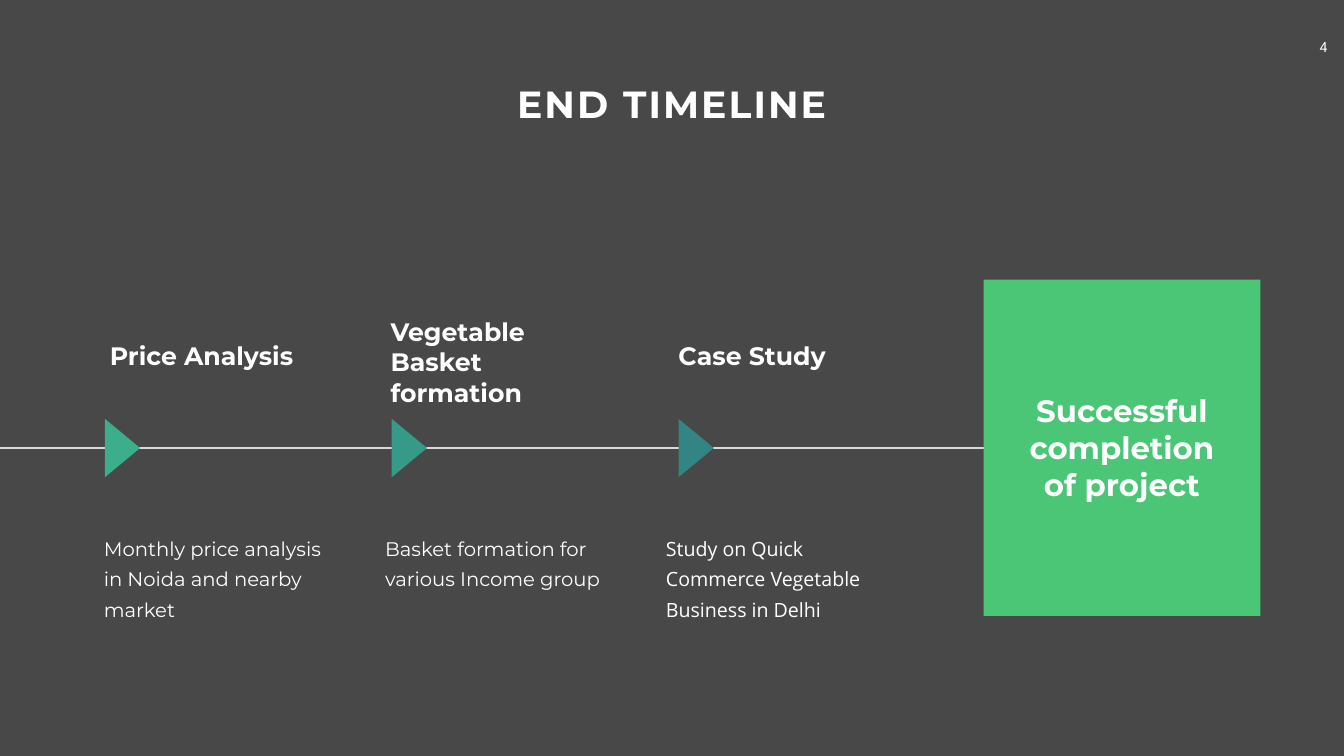
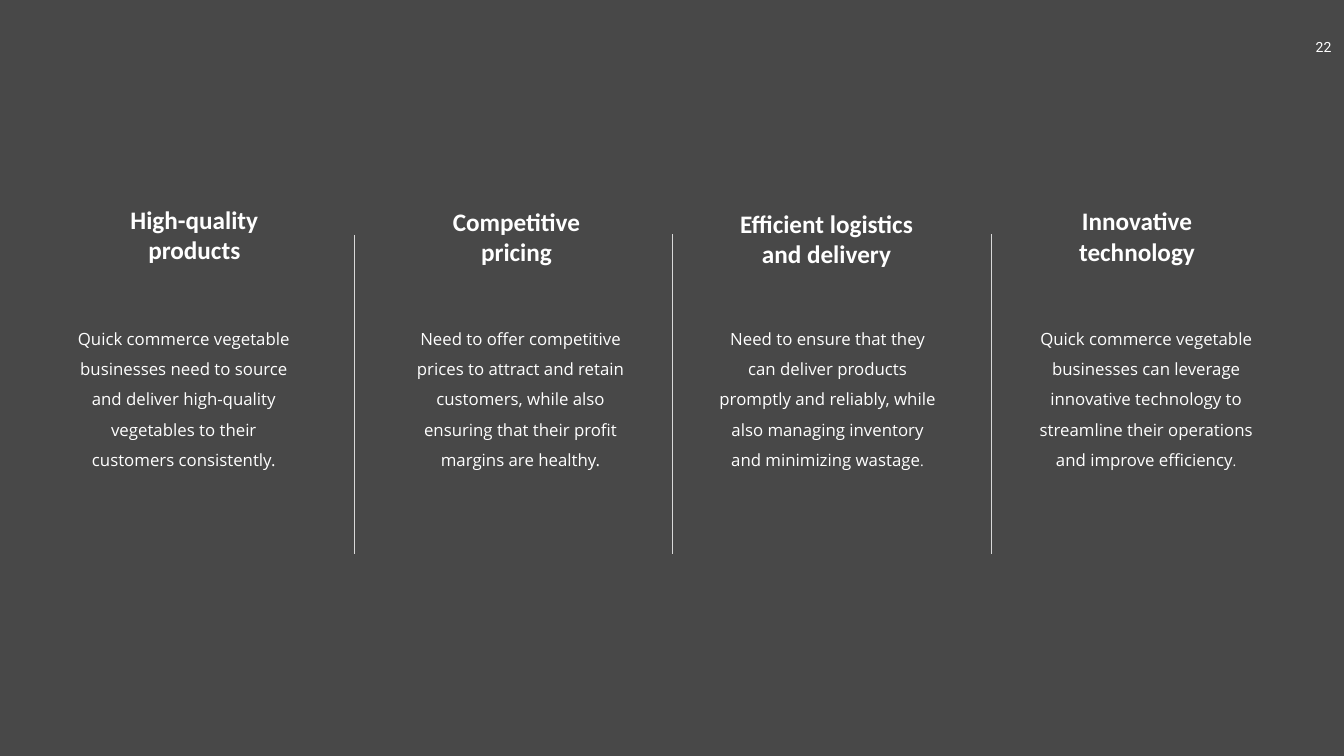
from typing import NamedTuple

from lxml.etree import SubElement
from pptx import Presentation
from pptx.dml.color import RGBColor
from pptx.enum.shapes import MSO_CONNECTOR, MSO_SHAPE
from pptx.enum.text import MSO_AUTO_SIZE, PP_ALIGN
from pptx.oxml.ns import qn
from pptx.presentation import Presentation as Deck
from pptx.shapes.autoshape import Shape
from pptx.shapes.connector import Connector
from pptx.slide import Slide
from pptx.text.text import _Paragraph as Paragraph
from pptx.util import Inches, Pt

BACKGROUND = "484848"
WHITE = "FFFFFF"
RULE = "D9D9D9"
GREEN = "4BC676"

TIGHT = (0.1, 0.05, 0.1, 0.05)
ROOMY = (0.24, 0.12, 0.24, 0.12)
PAGE_INSETS = (0.2, 0.1, 0.36, 0.1)


class Box(NamedTuple):
    left: float
    top: float
    width: float
    height: float


class Style(NamedTuple):
    font: str
    size: float
    bold: bool = False
    align: PP_ALIGN = PP_ALIGN.LEFT
    insets: tuple[float, float, float, float] = TIGHT
    line_points: float | None = None
    wrap: bool = True


class Milestone(NamedTuple):
    heading: str
    heading_box: Box
    detail: str
    detail_box: Box
    detail_font: str
    color: str


class Factor(NamedTuple):
    heading: str
    heading_box: Box
    detail: str
    detail_left: float
    small_ending: str = ""


PAGE_NUMBER = Style("Roboto", 20, align=PP_ALIGN.CENTER, insets=PAGE_INSETS, wrap=False)
TITLE = Style("Montserrat", 54, True, PP_ALIGN.CENTER)
GOAL = TITLE._replace(size=44)
MILESTONE_HEADING = Style("Montserrat", 36, True)
MILESTONE_DETAIL = Style("Montserrat", 28, insets=ROOMY, line_points=43)
FACTOR_HEADING = Style("Calibri", 36, True, PP_ALIGN.CENTER)
FACTOR_DETAIL = Style("Open Sans", 24, align=PP_ALIGN.CENTER, insets=ROOMY, line_points=43)

MARKER = Box(1.85, 8.54, 1.16, 0.7)
MARKER_PITCH = 5.69
GOAL_BOX = Box(19.51, 5.55, 5.49, 6.67)
RAIL_Y = GOAL_BOX.top + GOAL_BOX.height / 2

MILESTONES = [
    Milestone("Price Analysis", Box(2.08, 6.7, 3.92, 0.71),
              "Monthly price analysis in Noida and nearby market",
              Box(1.82, 10.41, 4.81, 2), "Montserrat", "3CAE8C"),
    Milestone("Vegetable Basket formation", Box(7.65, 6.23, 3.92, 1.92),
              "Basket formation for various Income group",
              Box(7.4, 10.41, 4.81, 1.39), "Montserrat", "379987"),
    Milestone("Case Study", Box(13.36, 6.7, 3.92, 0.71),
              "Study on Quick Commerce Vegetable Business in Delhi",
              Box(12.97, 10.41, 4.94, 2), "Open Sans", "328582"),
]

FACTORS = [
    Factor("High-quality products", Box(1.81, 4, 4.09, 1.31),
           "Quick commerce vegetable businesses need to source and deliver "
           "high-quality vegetables to their customers consistently.", 1.2),
    Factor("Competitive pricing", Box(8.2, 4.04, 4.09, 1.31),
           "Need to offer competitive prices to attract and retain customers, "
           "while also ensuring that their profit margins are healthy.", 7.88),
    Factor("Efficient logistics and delivery", Box(14.26, 4.08, 4.27, 1.31),
           "Need to ensure that they can deliver products promptly and reliably, "
           "while also managing inventory and minimizing wastage", 13.97, "."),
    Factor("Innovative technology", Box(20.51, 4.03, 4.09, 1.31),
           "Quick commerce vegetable businesses can leverage innovative technology "
           "to streamline their operations and improve efficiency", 20.29, "."),
]
DIVIDERS = [(7.03, 4.66), (13.33, 4.65), (19.66, 4.65)]
DIVIDER_BOTTOM = 10.99


def rgb(color: str) -> RGBColor:
    return RGBColor.from_string(color)


def to_inches(box: Box) -> list[Inches]:
    return [Inches(length) for length in box]


def add_slide(deck: Deck, page: str) -> Slide:
    slide = deck.slides.add_slide(deck.slide_layouts[6])
    slide.background.fill.solid()
    slide.background.fill.fore_color.rgb = rgb(BACKGROUND)
    add_text(slide, Box(25.88, 0.67, 0.91, 0.54), page, PAGE_NUMBER)
    return slide


def add_text(slide: Slide, box: Box, text: str, style: Style) -> Paragraph:
    frame = slide.shapes.add_textbox(*to_inches(box)).text_frame
    frame.word_wrap = style.wrap
    frame.auto_size = MSO_AUTO_SIZE.SHAPE_TO_FIT_TEXT
    (frame.margin_left, frame.margin_top,
     frame.margin_right, frame.margin_bottom) = (Inches(inset) for inset in style.insets)
    paragraph = frame.paragraphs[0]
    paragraph.add_run().text = text
    paragraph.alignment = style.align
    if style.line_points:
        paragraph.line_spacing = Pt(style.line_points)
    paragraph.font.name = style.font
    paragraph.font.size = Pt(style.size)
    paragraph.font.bold = style.bold
    paragraph.font.color.rgb = rgb(WHITE)
    return paragraph


def add_block(slide: Slide, preset: MSO_SHAPE, box: Box, color: str) -> Shape:
    block = slide.shapes.add_shape(preset, *to_inches(box))
    block.shadow.inherit = False
    block.fill.solid()
    block.fill.fore_color.rgb = rgb(color)
    block.line.fill.background()
    return block


def add_rule(slide: Slide, start: tuple[float, float], end: tuple[float, float],
             points: float) -> Connector:
    rule = slide.shapes.add_connector(
        MSO_CONNECTOR.STRAIGHT, *(Inches(length) for length in (*start, *end)))
    rule.line.color.rgb = rgb(RULE)
    rule.line.width = Pt(points)
    SubElement(rule._element.spPr, qn("a:effectLst"))
    return rule


def build_timeline(deck: Deck) -> None:
    slide = add_slide(deck, "4")
    title = add_text(slide, Box(9.61, 1.55, 7.43, 1.01), "END TIMELINE", TITLE)
    title.runs[0]._r.get_or_add_rPr().set("spc", "300")

    rail = add_rule(slide, (0, RAIL_Y), (GOAL_BOX.left, RAIL_Y), 3)
    goal = add_block(slide, MSO_SHAPE.RECTANGLE, GOAL_BOX, GREEN)
    rail.end_connect(goal, 1)
    add_text(slide, Box(20.05, 7.72, 4.41, 2.32), "Successful completion of project", GOAL)

    for index, milestone in enumerate(MILESTONES):
        add_text(slide, milestone.heading_box, milestone.heading, MILESTONE_HEADING)
        add_text(slide, milestone.detail_box, milestone.detail,
                 MILESTONE_DETAIL._replace(font=milestone.detail_font))
        marker_box = MARKER._replace(left=MARKER.left + index * MARKER_PITCH)
        marker = add_block(slide, MSO_SHAPE.ISOSCELES_TRIANGLE, marker_box, milestone.color)
        marker.rotation = 90


def build_factors(deck: Deck) -> None:
    slide = add_slide(deck, "22")
    for factor in FACTORS:
        add_text(slide, factor.heading_box, factor.heading, FACTOR_HEADING)
        detail = add_text(slide, Box(factor.detail_left, 6.21, 4.89, 3.19),
                          factor.detail, FACTOR_DETAIL)
        if factor.small_ending:
            ending = detail.add_run()
            ending.text = factor.small_ending
            ending.font.size = Pt(20)
    for x, top in DIVIDERS:
        add_rule(slide, (x, top), (x, DIVIDER_BOTTOM), 0.5)


def main() -> None:
    deck = Presentation()
    deck.slide_width = Inches(26.66)
    deck.slide_height = Inches(15)
    build_timeline(deck)
    build_factors(deck)
    deck.save("out.pptx")


if __name__ == "__main__":
    main()
